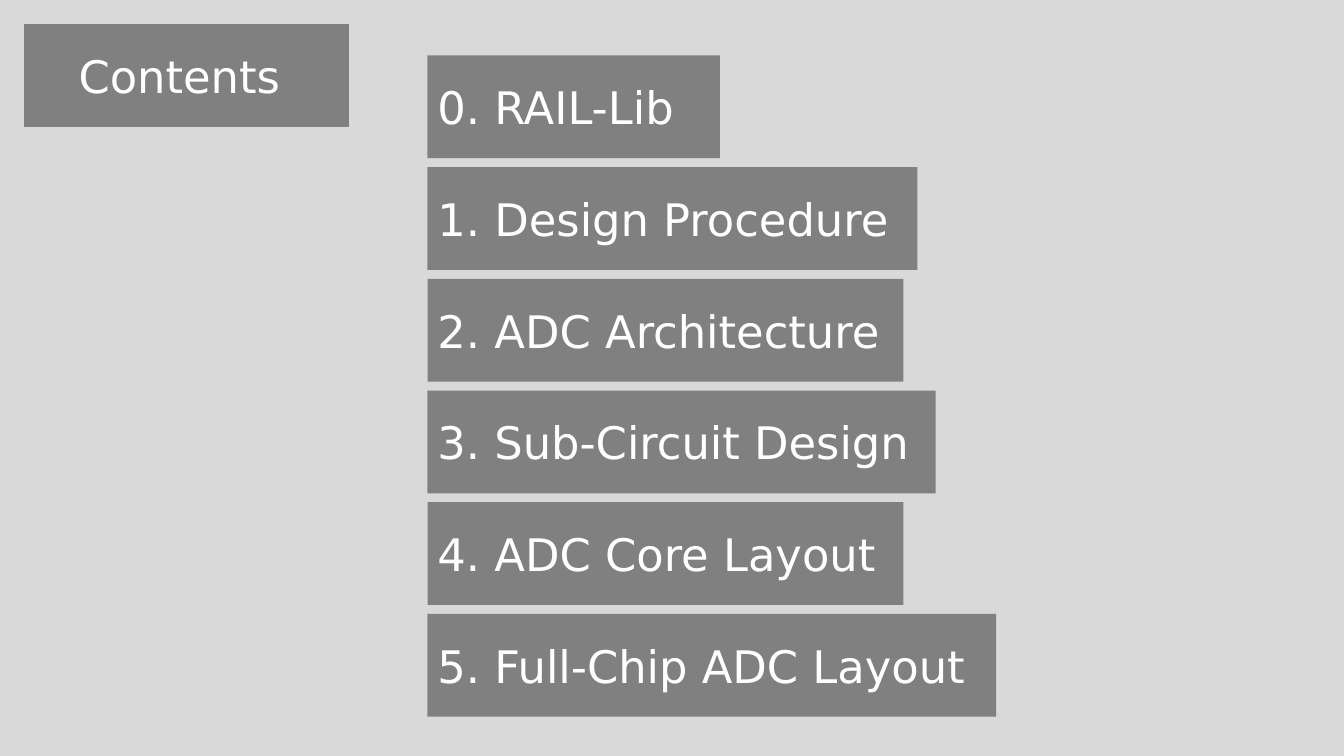
from pptx import Presentation
from pptx.dml.color import RGBColor
from pptx.enum.shapes import MSO_SHAPE as Shape
from pptx.enum.text import MSO_ANCHOR as Anchor, PP_ALIGN as Align
from pptx.util import Inches, Pt

COLORS = {"back": "D9D9D9", "box": "808080", "text": "FFFFFF"}
FONT = "DejaVu Sans"
BOX_H = 1.02

# Topics and the widths of their boxes
TOPICS = [
    ("0. RAIL-Lib", 2.9),
    ("1. Design Procedure", 4.86),
    ("2. ADC Architecture", 4.72),
    ("3. Sub-Circuit Design", 5.04),
    ("4. ADC Core Layout", 4.72),
    ("5. Full-Chip ADC Layout", 5.64),
]
LEFT, FIRST, LAST = 4.24, 0.55, 6.09


def color(name):
    return RGBColor.from_string(COLORS[name])


def add_box(slide, text, left, top, width, align=Align.LEFT):
    box = slide.shapes.add_shape(
        Shape.RECTANGLE, Inches(left), Inches(top), Inches(width), Inches(BOX_H))
    box.shadow.inherit = False
    box.fill.solid()
    box.fill.fore_color.rgb = color("box")
    box.line.fill.background()

    frame = box.text_frame
    frame.word_wrap = True
    frame.vertical_anchor = Anchor.MIDDLE
    para = frame.paragraphs[0]
    para.text = text
    para.alignment = align
    para.font.name = FONT
    para.font.size = Pt(32)
    para.font.color.rgb = color("text")


def main():
    deck = Presentation()
    deck.slide_width, deck.slide_height = Inches(13.33), Inches(7.5)
    slide = deck.slides.add_slide(deck.slide_layouts[6])
    slide.background.fill.solid()
    slide.background.fill.fore_color.rgb = color("back")

    # Title
    add_box(slide, "Contents ", 0.24, 0.24, 3.22, Align.CENTER)

    # Evenly spaced list of topics
    step = (LAST - FIRST) / (len(TOPICS) - 1)
    for row, (text, width) in enumerate(TOPICS):
        add_box(slide, text, LEFT, FIRST + row * step, width)

    deck.save("out.pptx")


if __name__ == "__main__":
    main()
